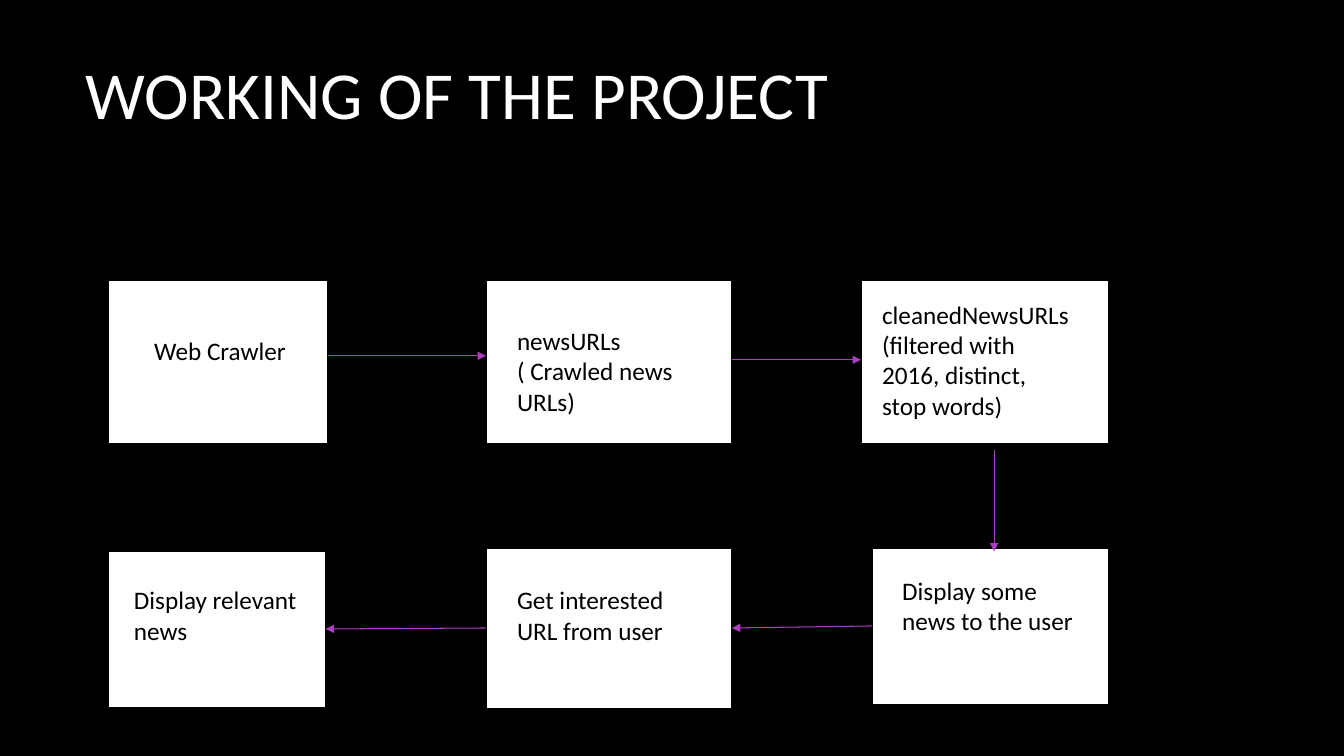
from pptx import Presentation
from pptx.dml import color
from pptx.enum import shapes, text
from pptx.oxml import ns
from pptx.util import Inches, Pt
from lxml import etree

# Each step: box (left, top, width, height), caption area, caption
STEPS = [
    ((1.07, 2.78, 2.18, 1.63), (1.43, 3.28, 1.82, 0.4), "Web Crawler"),
    ((4.82, 2.78, 2.44, 1.63), (5.03, 3.18, 2.13, 1.01),
     "newsURLs ( Crawled news URLs)"),
    ((8.54, 2.78, 2.46, 1.63), (8.65, 2.92, 2.08, 1.31),
     "cleanedNewsURLs (filtered with 2016, distinct, stop words)"),
    ((8.65, 5.44, 2.35, 1.55), (8.85, 5.66, 2.02, 0.71),
     "Display some news to the user"),
    ((4.82, 5.44, 2.44, 1.59), (5.03, 5.75, 1.99, 0.71),
     "Get interested URL from user"),
    ((1.07, 5.47, 2.16, 1.55), (1.23, 5.75, 1.82, 0.71),
     "Display relevant news"),
]

# Each arrow: start x, start y, end x, end y
ARROWS = [
    (3.25, 3.53, 4.82, 3.53),
    (7.26, 3.57, 8.54, 3.57),
    (9.86, 4.46, 9.86, 5.47),
    (8.65, 6.21, 7.26, 6.23),
    (4.82, 6.23, 3.23, 6.24),
]


def rgb(value):
    return color.RGBColor.from_string(value)


def inches(values):
    return [Inches(value) for value in values]


def apply(target, **formats):
    for name, value in formats.items():
        setattr(target, name, value)


class FlowSlide:
    """Style of the flow diagram and the slide it is drawn on."""

    BLACK, WHITE, PURPLE = "000000", "FFFFFF", "AC3EC1"
    FONT = "Calibri"

    def __init__(self, deck):
        self.slide = deck.slides.add_slide(deck.slide_layouts[5])
        background = self.slide.background.fill
        background.solid()
        background.fore_color.rgb = rgb(self.BLACK)

    def set_text(self, frame, wording, size, ink, **frame_formats):
        apply(frame, word_wrap=True, **frame_formats)
        paragraph = frame.paragraphs[0]
        paragraph.alignment = text.PP_ALIGN.LEFT
        run = paragraph.add_run()
        run.text = wording
        apply(run.font, name=self.FONT, size=Pt(size))
        run.font.color.rgb = rgb(ink)

    def title(self, area, wording):
        heading = self.slide.shapes.title
        apply(heading, **dict(zip(("left", "top", "width", "height"), inches(area))))
        self.set_text(heading.text_frame, wording, 48, self.WHITE,
                      auto_size=text.MSO_AUTO_SIZE.NONE,
                      vertical_anchor=text.MSO_ANCHOR.MIDDLE)

    def box(self, area):
        box = self.slide.shapes.add_shape(shapes.MSO_SHAPE.RECTANGLE, *inches(area))
        box.shadow.inherit = False
        box.fill.solid()
        box.fill.fore_color.rgb = rgb(self.WHITE)
        box.line.color.rgb = rgb(self.BLACK)
        box.line.width = Pt(1.5)

    def caption(self, area, wording):
        caption = self.slide.shapes.add_textbox(*inches(area))
        self.set_text(caption.text_frame, wording, 18, self.BLACK,
                      auto_size=text.MSO_AUTO_SIZE.SHAPE_TO_FIT_TEXT)

    def arrow(self, ends):
        arrow = self.slide.shapes.add_connector(
            shapes.MSO_CONNECTOR.STRAIGHT, *inches(ends))
        arrow.line.color.rgb = rgb(self.PURPLE)
        arrow.line.width = Pt(0.75)
        properties = arrow._element.spPr
        outline = properties.find(ns.qn("a:ln"))
        etree.SubElement(outline, ns.qn("a:tailEnd"), type="triangle")
        etree.SubElement(properties, ns.qn("a:effectLst"))


def main():
    deck = Presentation()
    apply(deck, slide_width=Inches(13.33), slide_height=Inches(7.5))
    flow = FlowSlide(deck)
    flow.title((0.75, 0.12, 11.08, 1.59), "WORKING OF THE PROJECT")
    for box_area, caption_area, wording in STEPS:
        flow.box(box_area)
        flow.caption(caption_area, wording)
    for ends in ARROWS:
        flow.arrow(ends)
    deck.save("out.pptx")


if __name__ == "__main__":
    main()
